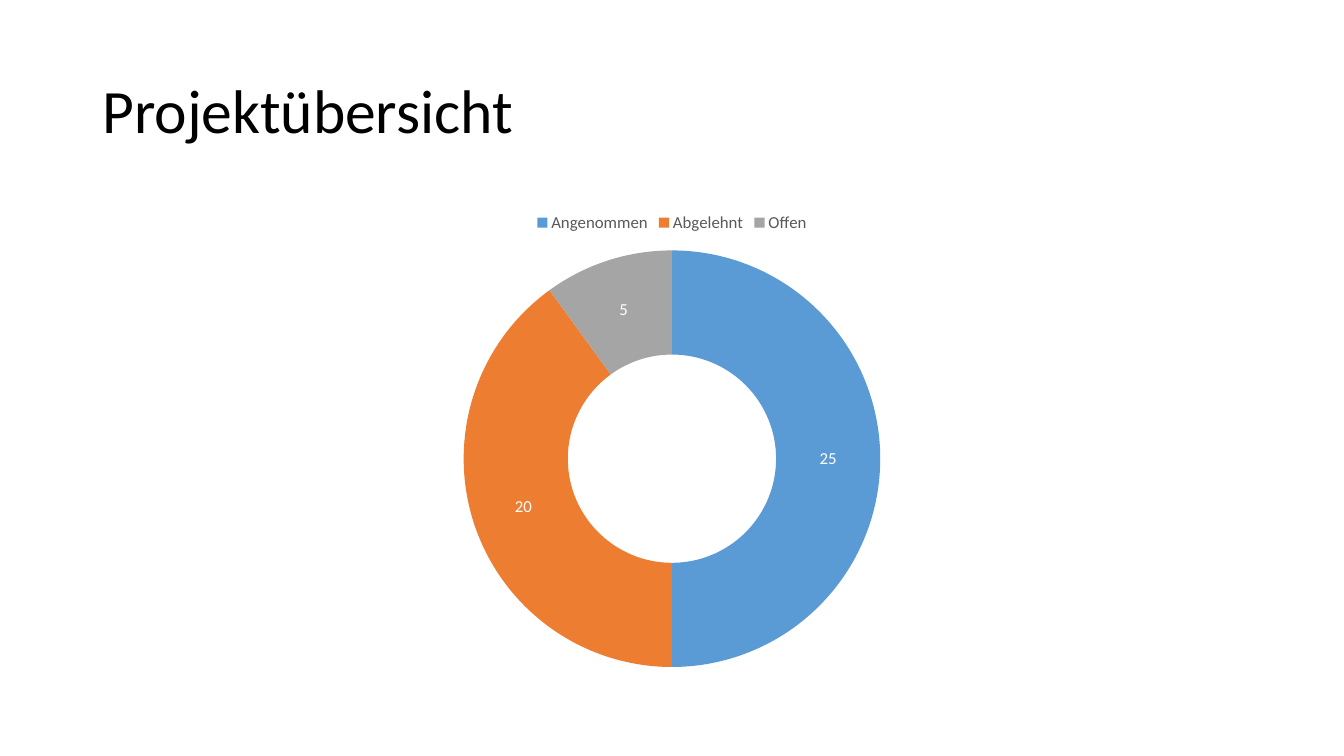
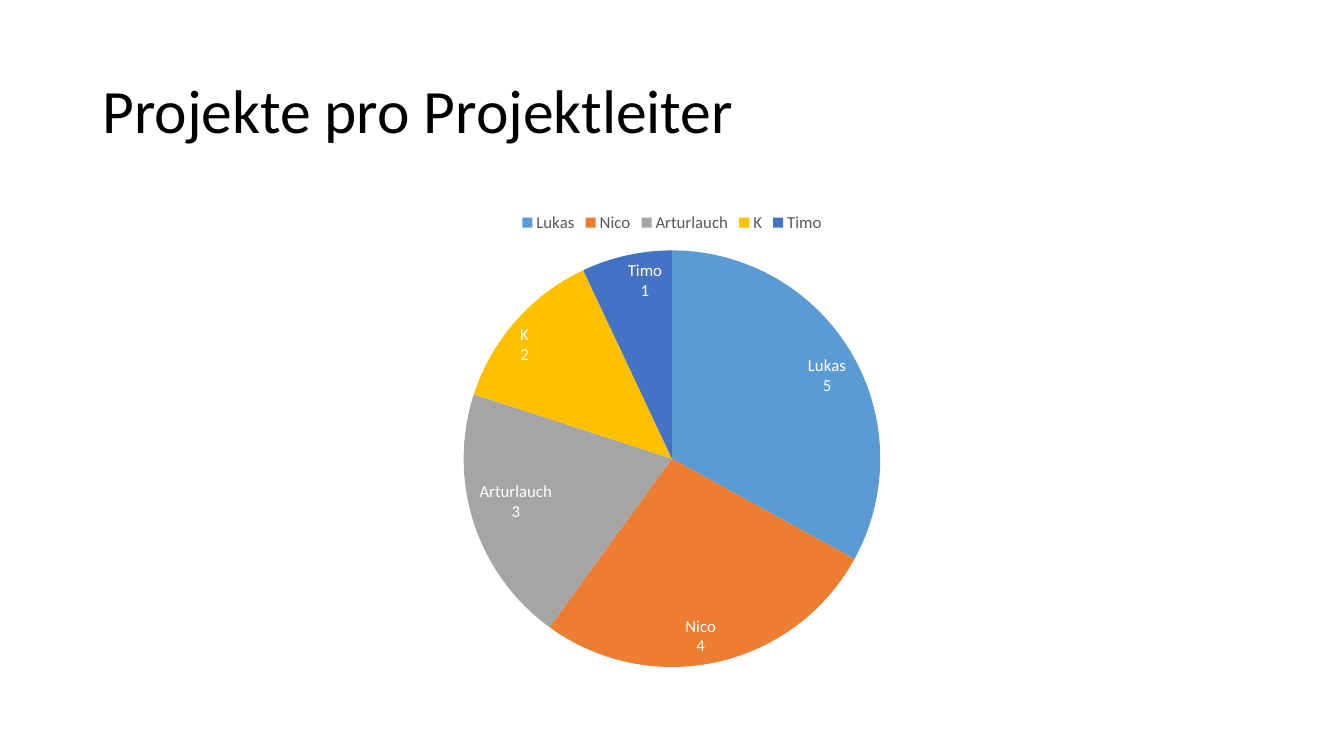
from pptx import Presentation
from pptx.chart.data import CategoryChartData
from pptx.dml.color import RGBColor
from pptx.enum.chart import XL_CHART_TYPE as ChartType
from pptx.enum.chart import XL_LABEL_POSITION as LabelPosition
from pptx.enum.chart import XL_LEGEND_POSITION as LegendPosition
from pptx.enum.text import MSO_ANCHOR
from pptx.util import Pt

FONT = "Calibri"
COLORS = {
    "title": "000000",
    "legend": "595959",
    "label": "FFFFFF",
    "blue": "5B9BD5",
    "orange": "ED7D31",
    "gray": "A5A5A5",
    "gold": "FFC000",
    "navy": "4472C4",
}
SLICE_COLORS = ("blue", "orange", "gray", "gold", "navy")
LEFT, WIDTH = Pt(66), Pt(828)

# Category, share in percent, label on the slice
STATUS_SLICES = (
    ("Angenommen", 50, "25"),
    ("Abgelehnt", 40, "20"),
    ("Offen", 10, "5"),
)
LEADER_SLICES = (
    ("Lukas", 33, "Lukas\n5"),
    ("Nico", 27, "Nico\n4"),
    ("Arturlauch", 20, "Arturlauch\n3"),
    ("K", 13, "K\n2"),
    ("Timo", 7, "Timo\n1"),
)


def rgb(name):
    return RGBColor.from_string(COLORS[name])


def style_font(font, size, color):
    font.name = FONT
    font.size = Pt(size)
    font.bold = False
    font.color.rgb = rgb(color)


def add_title(slide, text):
    frame = slide.shapes.add_textbox(LEFT, Pt(28.75), WIDTH, Pt(104.4)).text_frame
    frame.word_wrap = True
    frame.vertical_anchor = MSO_ANCHOR.MIDDLE
    heading = frame.paragraphs[0]
    heading.text = text
    heading.line_spacing = 0.9
    style_font(heading.runs[0].font, 44, "title")


def style_slice(point, color, label, label_position):
    point.format.fill.solid()
    point.format.fill.fore_color.rgb = rgb(color)
    point.format.line.fill.background()
    frame = point.data_label.text_frame
    frame.text = label
    for line in frame.paragraphs:
        style_font(line.runs[0].font, 12, "label")
    if label_position is not None:
        point.data_label.position = label_position


def add_share_chart(slide, chart_type, slices, label_position=None):
    """Add a round chart with a legend on top and a label on each slice."""
    categories, shares, labels = zip(*slices)
    data = CategoryChartData()
    data.categories = categories
    data.add_series("Series 1", shares)
    chart = slide.shapes.add_chart(
        chart_type, LEFT, Pt(143.75), WIDTH, Pt(342.65), data
    ).chart
    style_font(chart.font, 10, "title")
    chart.has_title = False
    chart.has_legend = True
    chart.legend.position = LegendPosition.TOP
    chart.legend.include_in_layout = False
    style_font(chart.legend.font, 12, "legend")

    plot = chart.plots[0]
    plot.vary_by_categories = True
    series = plot.series[0]
    for index, (color, label) in enumerate(zip(SLICE_COLORS, labels)):
        style_slice(series.points[index], color, label, label_position)
    series.data_labels.show_value = False
    series.data_labels.show_percentage = True
    style_font(series.data_labels.font, 12, "label")


def main():
    deck = Presentation()
    deck.slide_width, deck.slide_height = Pt(960), Pt(540)
    blank = deck.slide_layouts[6]

    overview = deck.slides.add_slide(blank)
    add_title(overview, "Projektübersicht")
    add_share_chart(overview, ChartType.DOUGHNUT, STATUS_SLICES)

    leaders = deck.slides.add_slide(blank)
    add_title(leaders, "Projekte pro Projektleiter")
    add_share_chart(leaders, ChartType.PIE, LEADER_SLICES, LabelPosition.INSIDE_END)

    deck.save("out.pptx")


if __name__ == "__main__":
    main()
